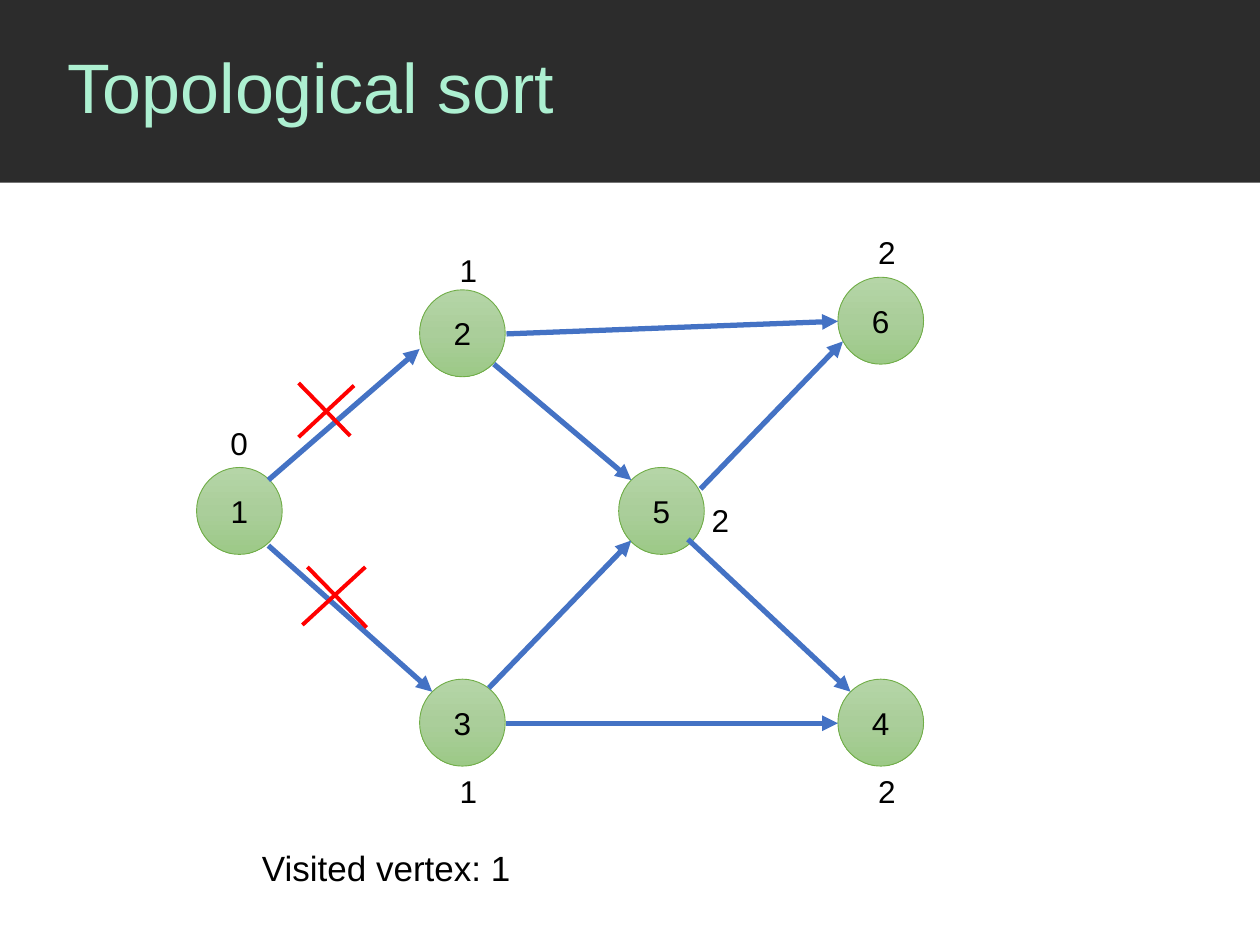
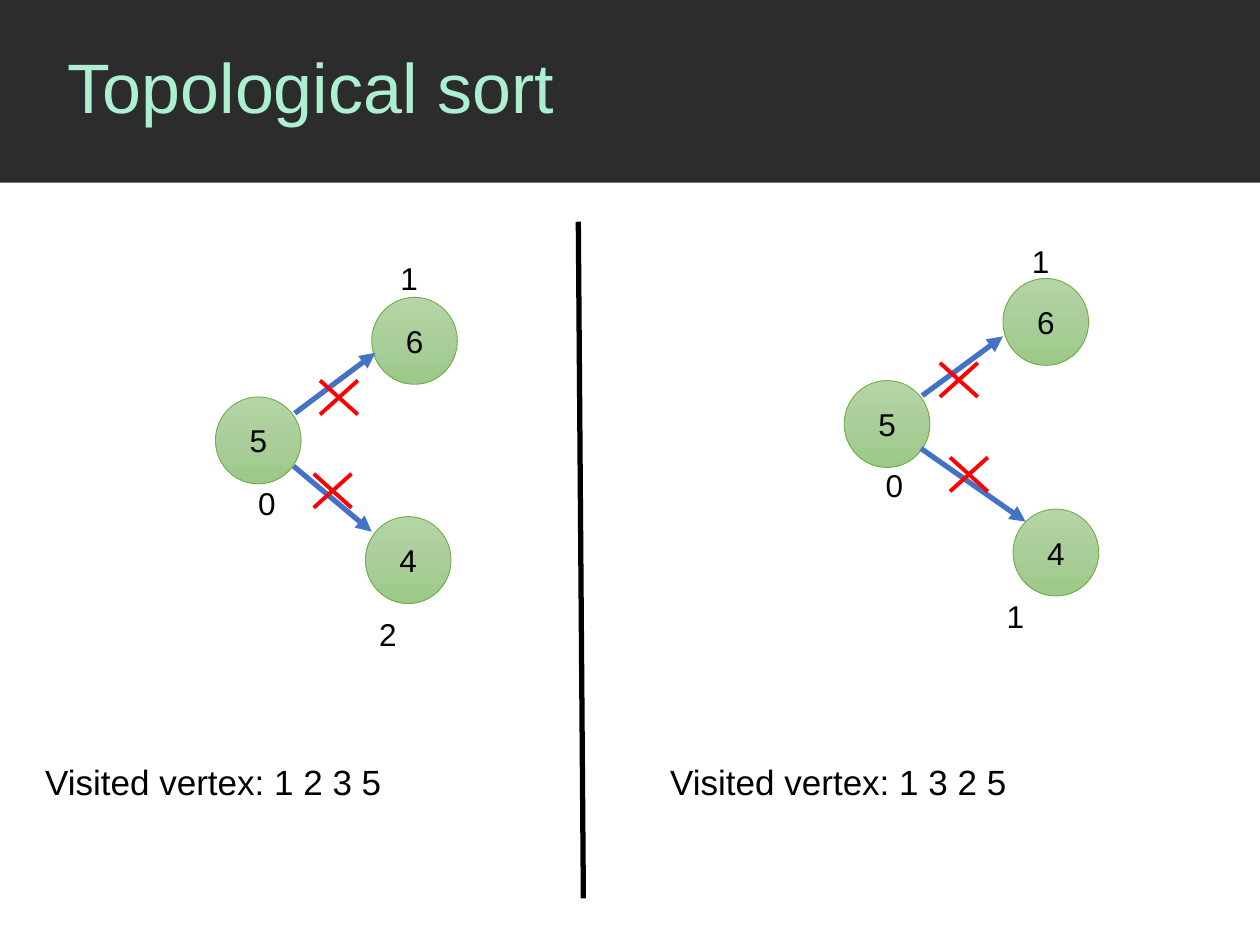
from copy import deepcopy

from lxml import etree
from pptx import Presentation
from pptx.dml.color import RGBColor
from pptx.enum.shapes import MSO_CONNECTOR, MSO_SHAPE
from pptx.enum.text import MSO_ANCHOR, PP_ALIGN
from pptx.oxml.ns import qn
from pptx.util import Inches, Pt

STRAIGHT = MSO_CONNECTOR.STRAIGHT
RECTANGLE, OVAL = MSO_SHAPE.RECTANGLE, MSO_SHAPE.OVAL
TOP, MIDDLE = MSO_ANCHOR.TOP, MSO_ANCHOR.MIDDLE
CENTER = PP_ALIGN.CENTER

FONT = "Arial"
COLORS = {
    "band": "2C2C2C",
    "title": "ADF0D1",
    "vertex_top": "B5D5A7",
    "vertex_middle": "AACE9A",
    "vertex_bottom": "9CC987",
    "vertex_line": "70AD47",
    "edge": "4472C4",
    "cross": "FF0000",
    "text": "000000",
}
RGB = {name: RGBColor.from_string(value) for name, value in COLORS.items()}
VERTEX_STOPS = [(0, "vertex_top"), (0.5, "vertex_middle"), (1, "vertex_bottom")]
VERTEX_WIDTH, VERTEX_HEIGHT = 0.68, 0.69
CROSS_WIDTH, CROSS_HEIGHT = 0.3, 0.27


def write(slide, text, left, top, width, height, size, color="text", anchor=TOP):
    box = slide.shapes.add_textbox(
        Inches(left), Inches(top), Inches(width), Inches(height))
    frame = box.text_frame
    frame.word_wrap = True
    frame.vertical_anchor = anchor
    frame.text = text
    font = frame.paragraphs[0].runs[0].font
    font.name, font.size, font.color.rgb = FONT, Pt(size), RGB[color]
    return frame


def draw_line(slide, ends, color, weight, arrow=False):
    line = slide.shapes.add_connector(STRAIGHT, *[Inches(value) for value in ends])
    line.line.color.rgb = RGB[color]
    line.line.width = Pt(weight)
    properties = line._element.spPr
    if arrow:
        etree.SubElement(properties.find(qn("a:ln")), qn("a:tailEnd"), type="triangle")
    etree.SubElement(properties, qn("a:effectLst"))


# Vertices: name, left, top. In-degrees: value, left, top.
# Edges and cross strokes: x and y of the start, x and y of the end.
full_graph = {
    "vertices": [("6", 6.65, 2.2), ("4", 6.65, 5.39), ("3", 3.33, 5.39),
                 ("2", 3.33, 2.3), ("1", 1.56, 3.71), ("5", 4.91, 3.71)],
    "edges": [(3.92, 2.89, 5.01, 3.81), (4.02, 2.65, 6.65, 2.55),
              (4.02, 5.74, 6.65, 5.74), (3.88, 5.46, 5.01, 4.29),
              (2.13, 3.81, 3.33, 2.77), (2.13, 4.33, 3.43, 5.49),
              (5.46, 4.28, 6.75, 5.49), (5.56, 3.88, 6.69, 2.71)],
    "in_degrees": [("0", 1.73, 3.32), ("2", 6.87, 6.08), ("2", 5.55, 3.93),
                   ("2", 6.87, 1.8), ("1", 3.55, 6.08), ("1", 3.55, 1.94)],
    "strokes": [(2.37, 3.04, 2.78, 3.46), (2.81, 3.06, 2.37, 3.47),
                (2.44, 4.5, 2.91, 4.98), (2.9, 4.5, 2.4, 4.96)],
    "visited": ("Visited vertex: 1", 1.98, 6.67, 2.6),
}
after_2_then_3 = {
    "vertices": [("6", 2.95, 2.36), ("4", 2.9, 4.1), ("5", 1.71, 3.15)],
    "edges": [(2.33, 3.7, 2.95, 4.22), (2.34, 3.28, 2.98, 2.8)],
    "in_degrees": [("2", 2.91, 4.83), ("0", 1.95, 3.79), ("1", 3.08, 2.01)],
    "crosses": [(2.54, 3.02), (2.49, 3.76)],
    "visited": ("Visited vertex: 1 2 3 5", 0.26, 5.99, 4.16),
}
after_3_then_2 = {
    "vertices": [("6", 7.96, 2.21), ("4", 8.04, 4.04), ("5", 6.7, 3.02)],
    "edges": [(7.31, 3.56, 8.14, 4.14), (7.32, 3.14, 7.96, 2.67)],
    "in_degrees": [("1", 7.89, 4.69), ("0", 6.93, 3.65), ("1", 8.09, 1.87)],
    "crosses": [(7.46, 2.88), (7.54, 3.63)],
    "visited": ("Visited vertex: 1 3 2 5", 5.22, 5.99, 4.61),
}

# Small crosses are all the same size
for graph in (after_2_then_3, after_3_then_2):
    graph["strokes"] = []
    for left, top in graph["crosses"]:
        right, bottom = left + CROSS_WIDTH, top + CROSS_HEIGHT
        graph["strokes"] += [(left, top, right, bottom), (right, top, left, bottom)]

prs = Presentation()
prs.slide_width, prs.slide_height = Inches(10), Inches(7.5)
blank = prs.slide_layouts[6]

for graphs in ([full_graph], [after_2_then_3, after_3_then_2]):
    slide = prs.slides.add_slide(blank)

    # Title band
    band = slide.shapes.add_shape(RECTANGLE, 0, 0, prs.slide_width, Inches(1.45))
    band.shadow.inherit = False
    band.fill.solid()
    band.fill.fore_color.rgb = RGB["band"]
    band.line.fill.background()
    title = write(slide, "Topological sort", 0.44, 0, 9.56, 1.44, 40, "title", MIDDLE)
    title.paragraphs[0].line_spacing = 0.9

    for graph in graphs:
        # Vertices
        for name, left, top in graph["vertices"]:
            vertex = slide.shapes.add_shape(
                OVAL, Inches(left), Inches(top),
                Inches(VERTEX_WIDTH), Inches(VERTEX_HEIGHT))
            vertex.shadow.inherit = False
            vertex.fill.gradient()
            vertex.fill.gradient_angle = 270
            stop_list = vertex._element.spPr.find(".//" + qn("a:gsLst"))
            stop_list.append(deepcopy(stop_list[0]))
            for stop, (position, color) in zip(vertex.fill.gradient_stops, VERTEX_STOPS):
                stop.position = position
                stop.color.rgb = RGB[color]
            vertex.line.color.rgb = RGB["vertex_line"]
            vertex.line.width = Pt(0.5)
            vertex.text_frame.text = name
            vertex.text_frame.vertical_anchor = MIDDLE
            paragraph = vertex.text_frame.paragraphs[0]
            paragraph.alignment = CENTER
            font = paragraph.runs[0].font
            font.name, font.size, font.color.rgb = FONT, Pt(18), RGB["text"]

        # Edges, in-degrees and removed edges
        for ends in graph["edges"]:
            draw_line(slide, ends, "edge", 3, arrow=True)
        for value, left, top in graph["in_degrees"]:
            write(slide, value, left, top, 0.25, 0.4, 18)
        for ends in graph["strokes"]:
            draw_line(slide, ends, "cross", 2.25)

        # Visiting order
        text, left, top, width = graph["visited"]
        write(slide, text, left, top, width, 0.44, 20)

    # Divider between the two visiting orders
    if len(graphs) == 2:
        draw_line(slide, (4.59, 1.76, 4.63, 7.13), "text", 3)

prs.save("out.pptx")
